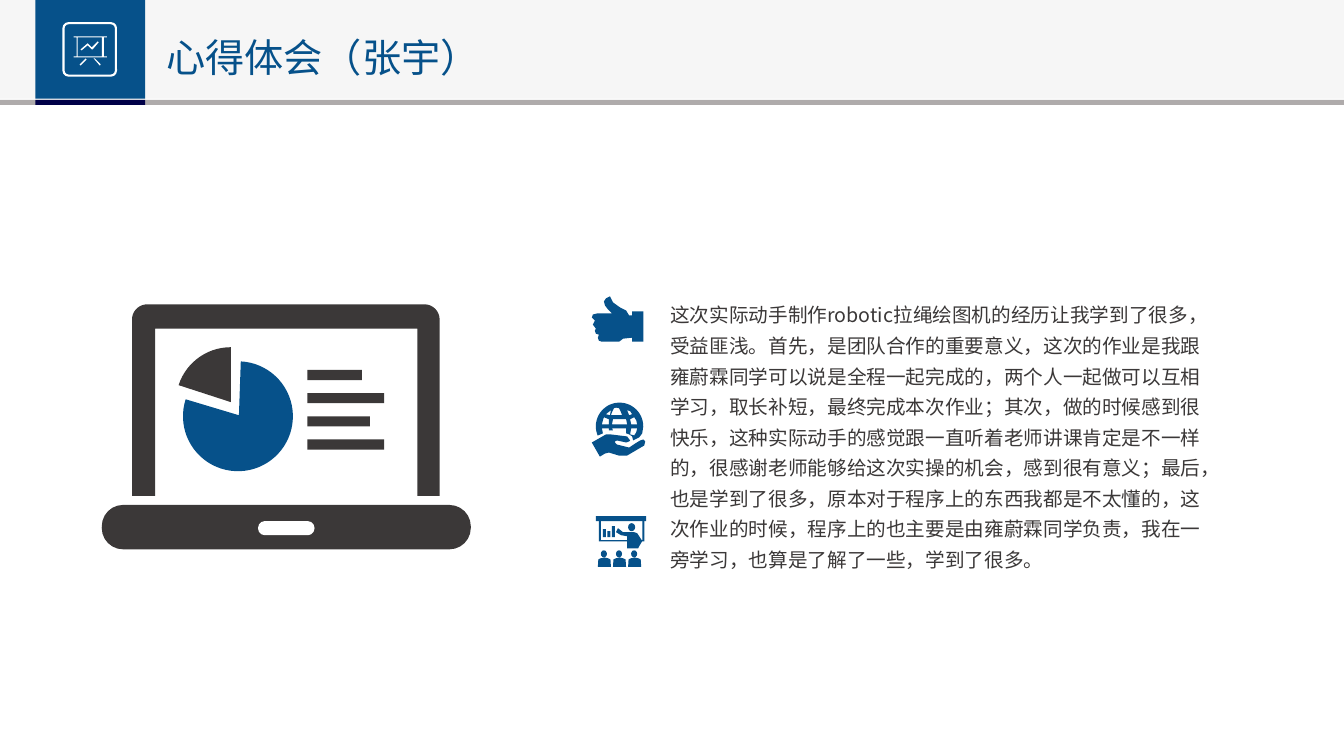
import math

from lxml import etree
from pptx import Presentation
from pptx import util as u
from pptx.dml.color import RGBColor
from pptx.enum import shapes, text
from pptx.oxml.ns import qn

BLUE, NAVY, DARK, GRAY, WHITE = "06518A", "000048", "3B3838", "AFABAB", "FFFFFF"
FONT = "Noto Sans CJK SC"
RECT = shapes.MSO_SHAPE.RECTANGLE
ROUNDED = shapes.MSO_SHAPE.ROUNDED_RECTANGLE
OVAL = shapes.MSO_SHAPE.OVAL

TITLE = "心得体会（张宇）"
REFLECTION = (
    "这次实际动手制作robotic拉绳绘图机的经历让我学到了很多，受益匪浅。"
    "首先，是团队合作的重要意义，这次的作业是我跟雍蔚霖同学可以说是全程一起完成的，"
    "两个人一起做可以互相学习，取长补短，最终完成本次作业；"
    "其次，做的时候感到很快乐，这种实际动手的感觉跟一直听着老师讲课肯定是不一样的，"
    "很感谢老师能够给这次实操的机会，感到很有意义；"
    "最后，也是学到了很多，原本对于程序上的东西我都是不太懂的，"
    "这次作业的时候，程序上的也主要是由雍蔚霖同学负责，我在一旁学习，"
    "也算是了解了一些，学到了很多。"
)

# Icon contours, in hundredths of an inch from the icon's top left corner
EASEL = [
    [(12, 22), (6, 28), (7, 29), (13, 23)],
    [(20, 22), (26, 29), (27, 28), (21, 22)],
    [(8, 14), (14, 9), (18, 13), (19, 13), (25, 6), (24, 5), (18, 11), (14, 7), (7, 13)],
    [(0, 0), (33, 0), (33, 1), (30, 1), (30, 20), (33, 20), (33, 21), (0, 21),
     (0, 20), (3, 20), (3, 1), (0, 1)],
    [(4, 1), (28, 1), (28, 20), (4, 20)],
]
THUMB = [[(18, 0), (14, 2), (12, 5), (13, 9), (16, 13), (20, 17), (5, 17), (1, 18),
          (0, 21), (3, 24), (1, 28), (4, 32), (3, 34), (4, 37), (7, 38), (6, 41),
          (7, 44), (10, 45), (27, 45), (31, 42), (40, 41), (40, 45), (51, 45),
          (51, 15), (40, 15), (40, 19), (37, 19), (34, 14), (28, 11), (21, 6)]]
HAND = [[(48, 7), (43, 10), (37, 14), (25, 11), (23, 9), (23, 8), (25, 7), (34, 9),
         (37, 8), (38, 7), (35, 3), (19, 1), (14, 1), (0, 9), (8, 23), (13, 20),
         (17, 19), (27, 22), (35, 22), (52, 12), (53, 8), (51, 6)]]
GLOBE_WINDOWS = [
    [(42, 33), (38, 32), (39, 26), (45, 26), (44, 30)],
    [(45, 22), (39, 22), (38, 17), (42, 15), (44, 18)],
    [(40, 12), (37, 13), (35, 8), (38, 9)],
    [(19, 13), (20, 10), (22, 6), (24, 5.5), (27, 6), (29, 10), (30, 13)],
    [(21, 17), (34, 17), (35, 22), (20, 22)],
    [(14, 12), (19, 8), (18, 13)],
    [(12, 15), (17, 17), (17, 22), (10, 22), (11, 18)],
]
PRESENTER = [[(45, 23), (41, 17), (38, 16), (27, 16), (22, 12), (20, 16), (25, 19),
              (31, 20), (31, 32), (42, 32), (43, 30), (46, 25)]]
AUDIENCE_BODY = [[(0, 9.5), (0.5, 2), (2.5, 1), (6.5, 0), (10.5, 1), (12.5, 2), (13, 9.5)]]


def color(value):
    return RGBColor.from_string(value)


def arc(x, y, radius, start, end):
    """Points along an arc; degrees run clockwise from the right."""
    steps = math.ceil((end - start) / 5)
    angles = [math.radians(start + (end - start) * i / steps) for i in range(steps + 1)]
    return [(x + radius * math.cos(a), y + radius * math.sin(a)) for a in angles]


def box(corners, width, height):
    x, y = corners
    return [(x, y), (x + width, y), (x + width, y + height), (x, y + height)]


def paint(shape, fill):
    shape.shadow.inherit = False
    shape.fill.solid()
    shape.fill.fore_color.rgb = color(fill)
    shape.line.fill.background()
    return shape


def preset(slide, kind, left, top, width, height, fill):
    lengths = [u.Inches(length) for length in (left, top, width, height)]
    return paint(slide.shapes.add_shape(kind, *lengths), fill)


def outline(slide, left, top, contours, fill):
    """Draw closed contours given in hundredths of an inch from left, top."""
    placed = [[(u.Inches(left + x / 100), u.Inches(top + y / 100)) for x, y in points]
              for points in contours]
    builder = slide.shapes.build_freeform(*placed[0][0])
    for index, points in enumerate(placed):
        if index:
            builder.move_to(*points[0])
        builder.add_line_segments(points[1:], close=True)
    return paint(builder.convert_to_shape(), fill)


def style_text(paragraph, size, fill):
    paragraph.alignment = text.PP_ALIGN.LEFT
    for run in paragraph.runs:
        run.font.size = u.Pt(size)
        run.font.name = FONT
        run.font.color.rgb = color(fill)
        latin = run.font._element.find(qn("a:latin"))
        east_asian = etree.Element(qn("a:ea"), typeface=FONT)
        latin.addnext(east_asian)


def add_header(slide, width, height):
    band = preset(slide, RECT, 0, 0, width, height, GRAY)
    band_color = band.element.spPr.find(qn("a:solidFill"))[0]
    etree.SubElement(band_color, qn("a:alpha"), val="10000")
    preset(slide, RECT, 0, height + 0.01, width, 0.05, GRAY)

    title = slide.shapes.title
    slide.shapes.element.append(title.element)
    title.left, title.top = u.Inches(1.55), u.Inches(0.28)
    title.width, title.height = u.Inches(3.31), u.Inches(0.57)
    frame = title.text_frame
    frame.text = TITLE
    frame.word_wrap = False
    frame.auto_size = text.MSO_AUTO_SIZE.SHAPE_TO_FIT_TEXT
    frame.vertical_anchor = text.MSO_ANCHOR.TOP
    style_text(frame.paragraphs[0], 28, BLUE)
    add_badge(slide, 0.35, 0, 1.09, height)


def add_badge(slide, left, top, width, height):
    tile = preset(slide, RECT, left, top, width, height, BLUE)
    base = preset(slide, RECT, left, top + height + 0.01, width, 0.05, NAVY)
    frame = preset(slide, ROUNDED, left + 0.28, top + 0.23, 0.52, 0.52, BLUE)
    frame.adjustments[0] = 0.095
    frame.fill.background()
    frame.line.color.rgb = color(WHITE)
    frame.line.width = u.Pt(1.5)
    easel = outline(slide, left + 0.38, top + 0.36, EASEL, WHITE)
    slide.shapes.add_group_shape([tile, base, frame, easel])


def add_laptop(slide, left, top):
    lid = [(30, 190)] + arc(45, 15, 15, 180, 270) + arc(320, 15, 15, 270, 360)
    lid += [(335, 190), (313, 190), (313, 24), (53, 24), (53, 190)]
    pie = [(136, 110)] + arc(135, 111, 54.5, -87, 198)
    slice_points = [(128, 97)] + arc(128, 97, 54.5, 198, 270)
    text_bars = [box((204, 65 + 23 * row), width, 10)
                 for row, width in enumerate((54, 76, 62, 76))]
    parts = [outline(slide, left, top, contours, fill) for contours, fill in (
        ([lid], DARK), ([pie], BLUE), ([slice_points], DARK), (text_bars, DARK))]
    base = preset(slide, ROUNDED, left, top + 1.99, 3.66, 0.44, DARK)
    slot = preset(slide, ROUNDED, left + 1.55, top + 2.15, 0.56, 0.14, WHITE)
    base.adjustments[0] = slot.adjustments[0] = 0.48
    slide.shapes.add_group_shape(parts + [base, slot])


def add_globe_in_hand(slide, left, top):
    rim = arc(27.5, 24, 23.5, 157, 360) + [(50, 31), (47, 35), (41, 38), (40, 34),
                                           (37, 32), (34, 31), (34, 26), (20, 26),
                                           (21, 28), (17, 28), (17, 26), (10, 26), (11, 31)]
    globe = outline(slide, left, top, [rim] + GLOBE_WINDOWS, BLUE)
    hand = outline(slide, left, top + 0.31, HAND, BLUE)
    slide.shapes.add_group_shape([globe, hand])


def add_classroom(slide, left, top):
    board = [box((3, 2), 45, 23), box((5, 3), 41, 21)]
    parts = [outline(slide, left, top, board, BLUE),
             preset(slide, RECT, left, top, 0.5, 0.05, BLUE),
             outline(slide, left, top, PRESENTER, BLUE),
             preset(slide, OVAL, left + 0.32, top + 0.07, 0.07, 0.08, BLUE)]
    for column, height in enumerate((0.08, 0.06, 0.11)):
        parts.append(preset(slide, RECT, left + 0.07 + 0.045 * column,
                            top + 0.21 - height, 0.03, height, BLUE))
        seat = left + 0.02 + 0.15 * column
        parts.append(preset(slide, OVAL, seat + 0.03, top + 0.34, 0.06, 0.07, BLUE))
        parts.append(outline(slide, seat, top + 0.41, AUDIENCE_BODY, BLUE))
    slide.shapes.add_group_shape(parts)


def add_reflection(slide, left, top, width, height):
    frame = slide.shapes.add_textbox(*map(u.Inches, (left, top, width, height))).text_frame
    frame.word_wrap = True
    frame.text = REFLECTION
    frame.paragraphs[0].line_spacing = 1.3
    style_text(frame.paragraphs[0], 14, DARK)


def main():
    presentation = Presentation()
    presentation.slide_width, presentation.slide_height = u.Inches(13.33), u.Inches(7.5)
    slide = presentation.slides.add_slide(presentation.slide_layouts[5])
    add_header(slide, 13.33, 0.98)
    add_laptop(slide, 1.01, 3.02)
    add_reflection(slide, 6.55, 2.89, 5.6, 3.05)
    outline(slide, 5.87, 2.94, THUMB, BLUE)
    add_globe_in_hand(slide, 5.87, 3.99)
    add_classroom(slide, 5.91, 5.12)
    presentation.save("out.pptx")


if __name__ == "__main__":
    main()
